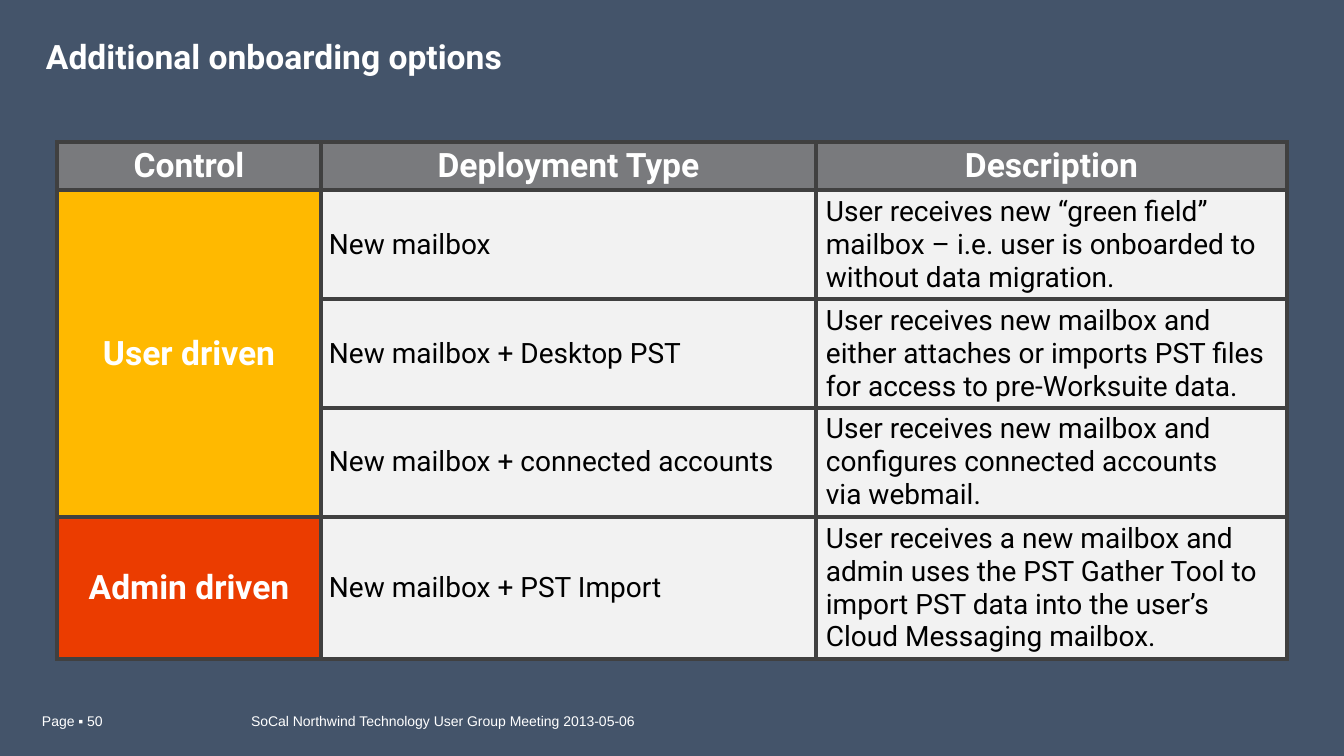
from lxml.etree import SubElement
from pptx import Presentation
from pptx.dml.color import RGBColor
from pptx.enum.text import MSO_ANCHOR as Anchor, PP_ALIGN as Align
from pptx.oxml.ns import qn
from pptx.util import Pt

EMU_PER_PX = 914400 / 100.8

SLATE = RGBColor(0x44, 0x54, 0x6A)
WHITE = RGBColor(0xFF, 0xFF, 0xFF)
BLACK = RGBColor(0x00, 0x00, 0x00)
GREY = RGBColor(0x79, 0x7A, 0x7D)
PALE = RGBColor(0xF2, 0xF2, 0xF2)
AMBER = RGBColor(0xFF, 0xB9, 0x00)
ORANGE = RGBColor(0xEB, 0x3C, 0x00)
BORDER = RGBColor(0x40, 0x40, 0x40)

TITLE = dict(name="Roboto", size=Pt(24), bold=True, color=WHITE)
BODY = dict(name="Roboto", size=Pt(20), bold=False, color=BLACK)
FOOTER = dict(name="Arial", size=Pt(10), bold=False, color=WHITE)

COLUMN_WIDTHS = [264, 495, 471]
ROW_HEIGHTS = [47, 107, 107, 107, 139]
HEADINGS = ["Control", "Deployment Type", "Description"]
CONTROLS = [("User driven", AMBER, 3), ("Admin driven", ORANGE, 1)]
OPTIONS = [
    ("New mailbox",
     "User receives new “green field” mailbox – i.e. user is onboarded to "
     "without data migration."),
    ("New mailbox + Desktop PST",
     "User receives new mailbox and either attaches or imports PST files "
     "for access to pre-Worksuite data."),
    ("New mailbox + connected accounts",
     "User receives new mailbox and configures connected accounts \nvia webmail."),
    ("New mailbox + PST Import",
     "User receives a new mailbox and admin uses the PST Gather Tool to "
     "import PST data into the user’s Cloud Messaging mailbox."),
]


def px(length):
    """Turn whole pixels into EMU."""
    return round(length * EMU_PER_PX)


def write(para, text, style, align=Align.LEFT):
    """Fill a paragraph with text in one style."""
    para.text = text
    para.alignment = align
    for span in para.runs:
        for key, value in style.items():
            if key == "color":
                span.font.color.rgb = value
            else:
                setattr(span.font, key, value)


def add_label(page, box, text, style, side_margin, line_spacing=None):
    """Place a vertically centred line of text in a box."""
    frame = page.shapes.add_textbox(*map(px, box)).text_frame
    settings = dict(word_wrap=True, vertical_anchor=Anchor.MIDDLE,
                    margin_left=px(side_margin), margin_right=px(side_margin))
    for key, value in settings.items():
        setattr(frame, key, value)
    para = frame.paragraphs[0]
    write(para, text, style)
    para.line_spacing = line_spacing


def draw_borders(cell):
    """Give all four sides of a cell the same solid line."""
    properties = cell._tc.get_or_add_tcPr()
    for place, side in enumerate(("lnL", "lnR", "lnT", "lnB")):
        line = SubElement(properties, qn(f"a:{side}"), w=str(Pt(3)))
        fill = SubElement(line, qn("a:solidFill"))
        SubElement(fill, qn("a:srgbClr"), val=str(BORDER))
        properties.insert(place, line)


def fill_cell(cell, text, style, color, align=Align.LEFT, left=8, vertical=4):
    """Set the text, margins and fill of a table cell."""
    settings = dict(vertical_anchor=Anchor.MIDDLE, margin_left=px(left),
                    margin_right=px(8), margin_top=px(vertical),
                    margin_bottom=px(vertical))
    for key, value in settings.items():
        setattr(cell, key, value)
    cell.fill.solid()
    cell.fill.fore_color.rgb = color
    write(cell.text_frame.paragraphs[0], text, style, align)


def add_options_table(page, left, top):
    """Build the table of onboarding options from its top left corner."""
    box = (left, top, sum(COLUMN_WIDTHS), sum(ROW_HEIGHTS))
    table = page.shapes.add_table(
        len(ROW_HEIGHTS), len(COLUMN_WIDTHS), *map(px, box)).table
    table.first_row = table.horz_banding = False
    for column, width in zip(table.columns, COLUMN_WIDTHS):
        column.width = px(width)
    for row, height in zip(table.rows, ROW_HEIGHTS):
        row.height = px(height)

    for index, heading in enumerate(HEADINGS):
        fill_cell(table.cell(0, index), heading, TITLE, GREY, Align.CENTER,
                  vertical=4 if index else 0)
    first = 1
    for control, color, count in CONTROLS:
        cell = table.cell(first, 0)
        fill_cell(cell, control, TITLE, color, Align.CENTER, vertical=0)
        if count > 1:
            cell.merge(table.cell(first + count - 1, 0))
        first += count
    for index, (deployment, description) in enumerate(OPTIONS, 1):
        fill_cell(table.cell(index, 1), deployment, BODY, PALE)
        fill_cell(table.cell(index, 2), description, BODY, PALE, left=10)
    for cell in table.iter_cells():
        draw_borders(cell)


def add_footer(page, top, height):
    """Place the page number and the meeting name on one line."""
    add_label(page, (32, top, 198, height), "Page ▪ 50", FOOTER, 10)
    add_label(page, (241, top, 653, height),
              "SoCal Northwind Technology User Group Meeting 2013-05-06", FOOTER, 10)


def main():
    """Build and save the deck."""
    deck = Presentation()
    deck.slide_width, deck.slide_height = px(1344), px(756)
    page = deck.slides.add_slide(deck.slide_layouts[6])
    page.background.fill.solid()
    page.background.fill.fore_color.rgb = SLATE
    add_label(page, (46, 25, 848, 67), "Additional onboarding options", TITLE, 0, 0.95)
    add_options_table(page, 57, 142)
    add_footer(page, 707, 27)
    deck.save("out.pptx")


if __name__ == "__main__":
    main()
